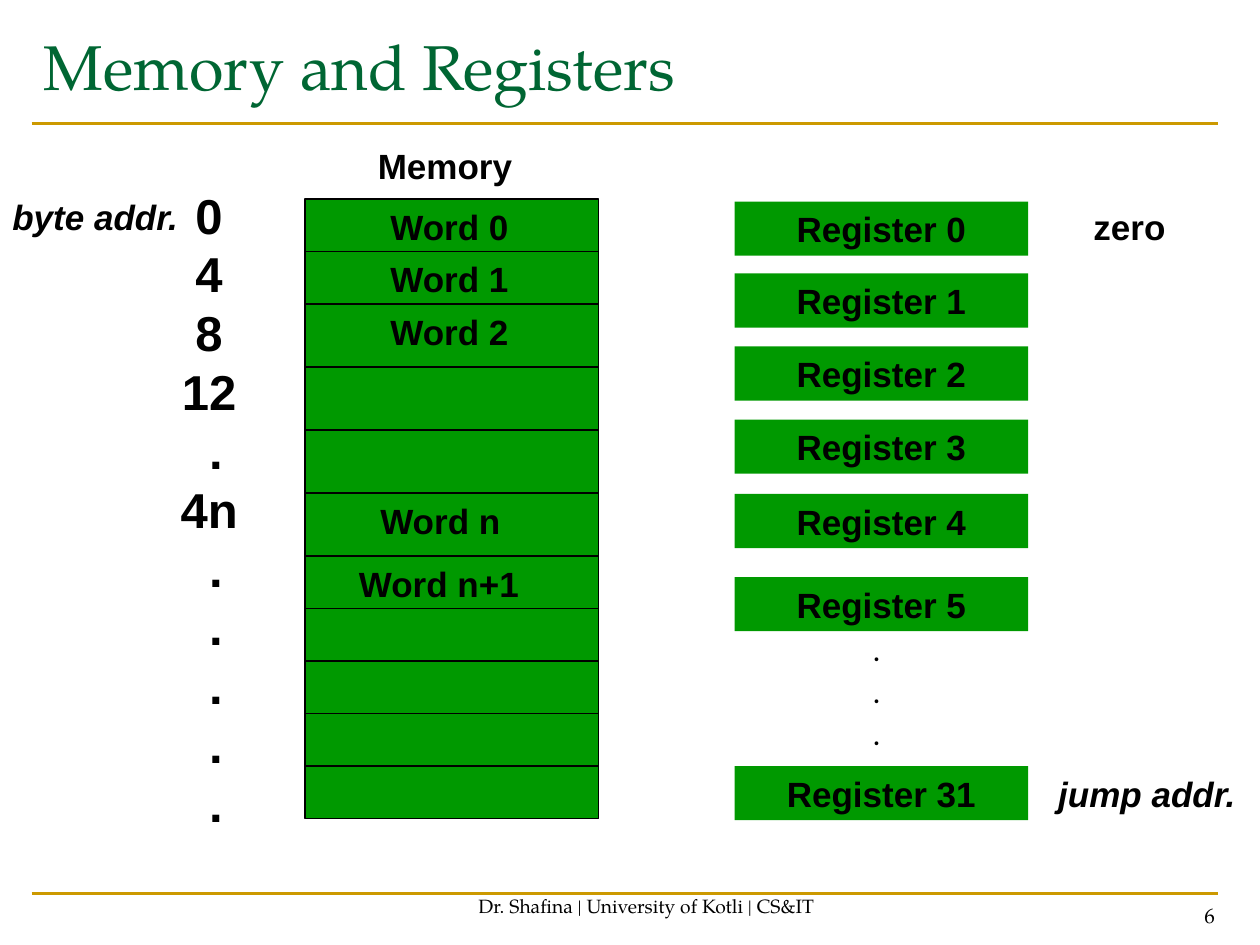
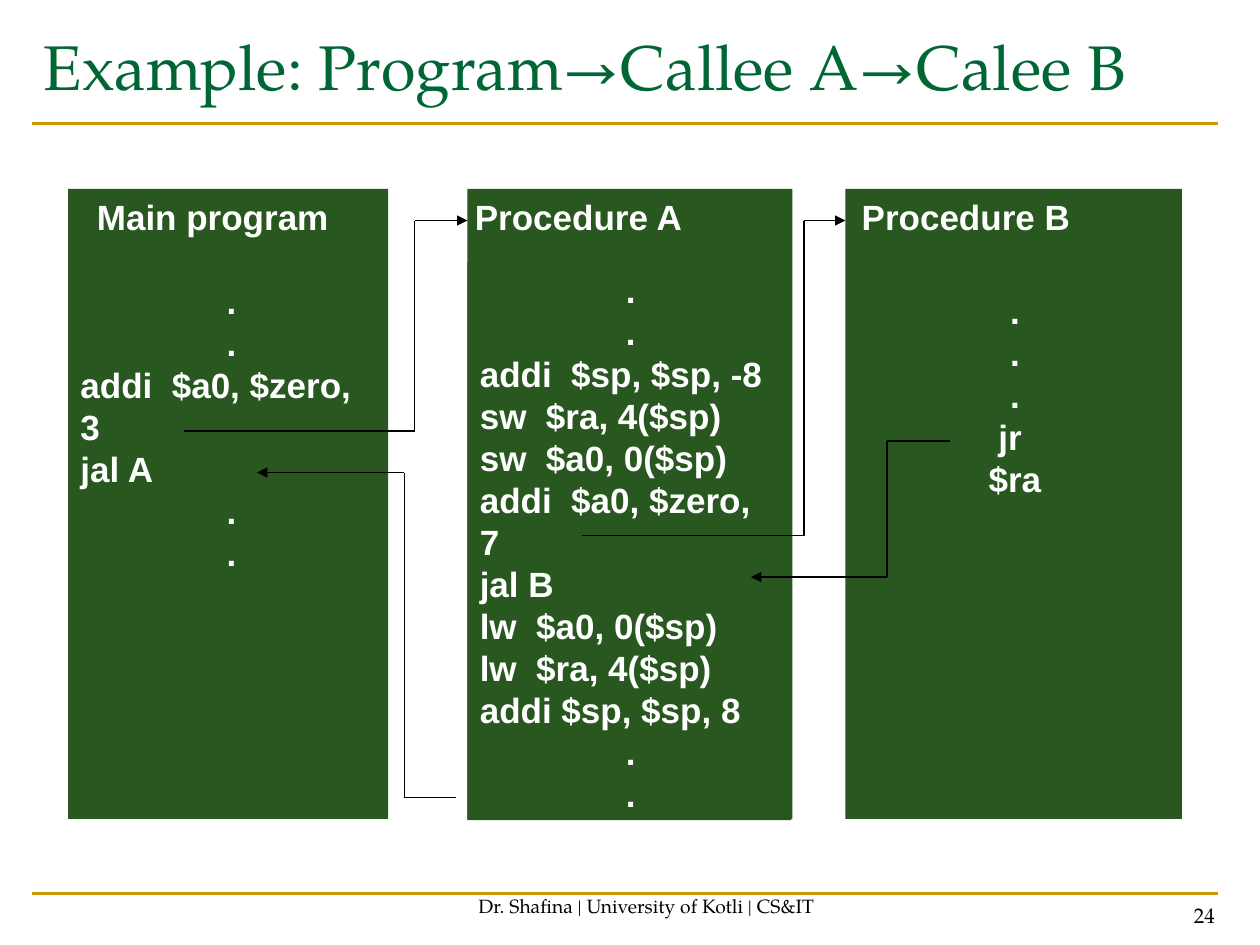
import itertools

import lxml.etree
import pptx
import pptx.dml.color
import pptx.enum.shapes
import pptx.enum.text
import pptx.oxml.ns
import pptx.util

Inches, Pt = pptx.util.Inches, pptx.util.Pt
RGB = pptx.dml.color.RGBColor
ALIGN = pptx.enum.text.PP_ALIGN
ANCHOR = pptx.enum.text.MSO_ANCHOR
RECT = pptx.enum.shapes.MSO_SHAPE.RECTANGLE
STRAIGHT = pptx.enum.shapes.MSO_CONNECTOR.STRAIGHT
qn = pptx.oxml.ns.qn

BLACK, WHITE = RGB(0, 0, 0), RGB(255, 255, 255)
TITLE_GREEN, GOLD = RGB(0x00, 0x66, 0x33), RGB(0xCC, 0x99, 0x00)
CELL_GREEN, PANEL_GREEN = RGB(0x00, 0x99, 0x00), RGB(0x28, 0x57, 0x20)
SERIF, SANS, DOT_FONT = "TeX Gyre Pagella", "Arial", "Montserrat"

FOOTER = "Dr. Shafina | University of Kotli | CS&IT"
LINE_H = 0.43                     # height of a one-line label

# Memory and registers
ROW_TWELFTHS = [5, 5, 6, 6, 6, 6, 5, 5, 5, 5, 5]
MEM_X, MEM_Y, MEM_W = 2.42, 1.58, 2.33
WORDS = [  # row, text, left, width
    (0, "Word 0", 3, 1.14), (1, "Word 1", 3, 1.14), (2, "Word 2", 3, 1.14),
    (5, "Word n", 2.92, 1.16), (6, "Word n+1", 2.75, 1.47),
]
ADDRESSES = ["0", "4", "8", "12", " .", "4n"] + [" ."] * 5
REGISTERS = [(0, 1.6), (1, 2.17), (2, 2.75), (3, 3.33), (4, 3.92),
             (5, 4.58), (31, 6.08)]
LABELS = [  # text, left, top, width, italic
    ("Memory", 2.9, 1.1, 1.27, False),
    ("byte addr.", 0, 1.5, 1.53, True),
    ("jump addr.", 8.3, 6.08, 1.62, True),
    ("zero", 8.58, 1.58, 0.77, False),
]

# Nested calls
PANELS = [(6.71, 2.67), (3.71, 2.58), (0.54, 2.54)]   # left, width
HEADINGS = "Main program\tProcedure A\tProcedure B"
HEADING_TABS = [3, 6.07]
MAIN_CODE = [".", ".", "addi  $a0, $zero, 3", "jal A", ".", "."]
A_CODE = [".", ".", "addi  $sp, $sp, -8", "sw  $ra, 4($sp)",
          "sw  $a0, 0($sp)", "addi  $a0, $zero, 7", "jal B",
          "lw  $a0, 0($sp)", "lw  $ra, 4($sp)", "addi $sp, $sp, 8", ".", "."]
B_CODE = [".", ".", ".", "jr  $ra"]
JUMPS = [  # start x, start y, bend x, end x, end y
    (1.46, 3.42, 3.29, 3.71, 1.75),
    (3.62, 6.33, 3.21, 2.04, 3.75),
    (4.62, 4.25, 6.38, 6.71, 1.75),
    (7.54, 3.5, 7.04, 5.96, 4.58),
]


def add_box(s, x, y, w, h, fill, line=None):
    """Add a plain filled rectangle."""
    sp = s.shapes.add_shape(RECT, Inches(x), Inches(y), Inches(w), Inches(h))
    sp.shadow.inherit = False
    sp.fill.solid()
    sp.fill.fore_color.rgb = fill
    if line is None:
        sp.line.fill.background()
    else:
        sp.line.color.rgb = line
        sp.line.width = Pt(0.75)
    return sp


def add_text(s, lines, x, y, w, h=LINE_H, *, size=20, font=SANS, color=BLACK,
             bold=True, italic=False, align=ALIGN.LEFT, anchor=ANCHOR.TOP,
             wrap=False, fill=None, dot_indent=0, right=0.1, tabs=()):
    """Add text, one paragraph a line, in a text box or a filled rectangle."""
    if fill is None:
        sp = s.shapes.add_textbox(Inches(x), Inches(y), Inches(w), Inches(h))
    else:
        sp = add_box(s, x, y, w, h, fill)
    tf = sp.text_frame
    tf.word_wrap, tf.vertical_anchor = wrap, anchor
    tf.margin_right = Inches(right)
    for i, line in enumerate([lines] if isinstance(lines, str) else lines):
        p = tf.add_paragraph() if i else tf.paragraphs[0]
        p.alignment = align
        pPr = p._p.get_or_add_pPr()
        if dot_indent and line == ".":
            pPr.set("marL", str(Inches(dot_indent)))
        if tabs:
            stops = lxml.etree.SubElement(pPr, qn("a:tabLst"))
            for pos in tabs:
                lxml.etree.SubElement(stops, qn("a:tab"),
                                      pos=str(Inches(pos)), algn="l")
        r = p.add_run()
        r.text = line
        f = r.font
        f.size, f.name, f.bold, f.italic = Pt(size), font, bold, italic
        f.color.rgb = color
    return sp


def add_line(s, start, end, color=BLACK, width=0.75, arrow=False):
    """Add a straight line, with an arrowhead at its end if asked."""
    c = s.shapes.add_connector(STRAIGHT, *[Inches(v) for v in (*start, *end)])
    c.line.color.rgb = color
    c.line.width = Pt(width)
    if arrow:
        lxml.etree.SubElement(c.line._get_or_add_ln(), qn("a:tailEnd"),
                              type="triangle")
    lxml.etree.SubElement(c._element.spPr, qn("a:effectLst"))


def new_slide(prs, title, number):
    """Add a slide with the shared rules, title and footer."""
    s = prs.slides.add_slide(prs.slide_layouts[6])
    for y in (7.09, 0.98):
        add_line(s, (0.25, y), (9.67, y), GOLD, 1.5)
    serif = dict(font=SERIF, bold=False, wrap=True)
    add_text(s, title, 0.25, 0.17, 9.42, 1.17, size=36, color=TITLE_GREEN,
             **serif)
    add_text(s, FOOTER, 3.42, 6.83, 3.42, 0.5, size=11, align=ALIGN.CENTER,
             anchor=ANCHOR.BOTTOM, **serif)
    add_text(s, str(number), 7.41, 6.91, 2.33, 0.5, size=12,
             align=ALIGN.RIGHT, anchor=ANCHOR.BOTTOM, **serif)
    return s


def memory_slide(prs):
    """Build the memory column beside the register stack."""
    s = new_slide(prs, "Memory and Registers", 6)
    edges = [MEM_Y + n / 12
             for n in itertools.accumulate(ROW_TWELFTHS, initial=0)]
    add_box(s, MEM_X, MEM_Y, MEM_W, edges[-1] - MEM_Y, CELL_GREEN, BLACK)
    for y in edges[1:-1]:
        add_line(s, (MEM_X, y), (MEM_X + MEM_W, y))
    for row, word, x, w in WORDS:
        add_text(s, word, x, edges[row], w)
    add_text(s, ADDRESSES, 1.33, 1.42, 0.66, 5.24, size=28,
             align=ALIGN.CENTER)
    for n, y in REGISTERS:
        add_text(s, f"Register {n}", 5.83, y, 2.33, fill=CELL_GREEN,
                 align=ALIGN.CENTER, wrap=True)
    for label, x, y, w, italic in LABELS:
        add_text(s, label, x, y, w, italic=italic)
    add_text(s, ["."] * 3, 6.83, 4.92, 0.29, 1.1, font=DOT_FONT, bold=False)


def calls_slide(prs):
    """Build the three code panels and the jumps between them."""
    s = new_slide(prs, "Example: Program→Callee A→Calee B", 24)
    for x, w in PANELS:
        add_box(s, x, 1.5, w, 5, PANEL_GREEN)
    add_text(s, HEADINGS, 0.67, 1.5, 8.01, 0.44, color=WHITE, wrap=True,
             tabs=HEADING_TABS)
    code = dict(color=WHITE, wrap=True, dot_indent=1.16, right=0.15)
    add_text(s, MAIN_CODE, 0.54, 2.17, 2.57, 2.1, **code)
    add_text(s, A_CODE, 3.71, 2.08, 2.57, 4.43, fill=PANEL_GREEN, **code)
    add_text(s, B_CODE, 7.58, 2.25, 0.95, 1.43, color=WHITE,
             align=ALIGN.CENTER)
    for x1, y1, bend, x2, y2 in JUMPS:
        add_line(s, (x1, y1), (bend, y1))
        add_line(s, (bend, y1), (bend, y2))
        add_line(s, (bend, y2), (x2, y2), arrow=True)


prs = pptx.Presentation()
prs.slide_width, prs.slide_height = Inches(10), Inches(7.5)
memory_slide(prs)
calls_slide(prs)
prs.save("out.pptx")
